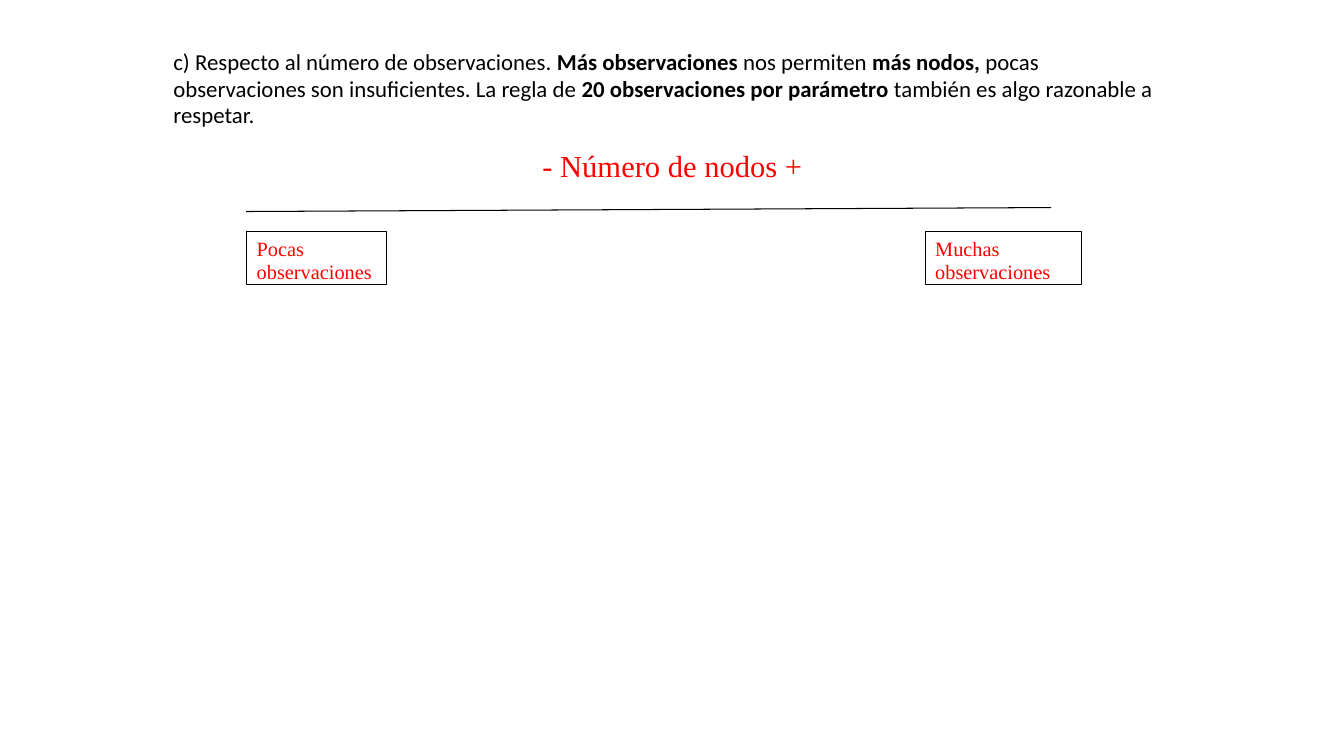
from lxml import etree
from pptx import Presentation
from pptx.dml.color import RGBColor
from pptx.enum.shapes import MSO_CONNECTOR, MSO_SHAPE
from pptx.enum.text import MSO_ANCHOR, MSO_AUTO_SIZE, PP_ALIGN
from pptx.oxml.ns import qn
from pptx.util import Cm, Pt

BLACK = RGBColor(0, 0, 0)
RED = RGBColor(255, 0, 0)
RECTANGLE = MSO_SHAPE.RECTANGLE
STRAIGHT = MSO_CONNECTOR.STRAIGHT
TOP = MSO_ANCHOR.TOP
MIDDLE = MSO_ANCHOR.MIDDLE
LEFT = PP_ALIGN.LEFT
GROW = MSO_AUTO_SIZE.SHAPE_TO_FIT_TEXT


class NodesSlide:
    """Draw the elements of the slide about nodes and observations."""

    body_font = "Calibri"
    label_font = "Times New Roman"
    line_width = Pt(0.75)

    def __init__(self, presentation):
        self.slide = presentation.slides.add_slide(presentation.slide_layouts[6])

    def fill_text(self, shape, parts, font, size, color, insets=(0, 0),
                  anchor=TOP, line_spacing=None):
        frame = shape.text_frame
        frame.word_wrap = True
        frame.auto_size = GROW
        frame.vertical_anchor = anchor
        frame.margin_left, frame.margin_top = (Cm(inset) for inset in insets)
        frame.margin_right = frame.margin_bottom = 0
        paragraph = frame.paragraphs[0]
        paragraph.alignment = LEFT
        if line_spacing:
            paragraph.line_spacing = Pt(line_spacing)
        paragraph.font.name = font
        paragraph.font.size = Pt(size)
        paragraph.font.color.rgb = color
        for text, bold in parts:
            run = paragraph.add_run()
            run.text = text
            if bold:
                run.font.bold = True

    def text_box(self, left, top, width, height):
        return self.slide.shapes.add_textbox(Cm(left), Cm(top), Cm(width), Cm(height))

    def explanation(self, parts):
        box = self.text_box(4.34, 0.79, 25.2, 2.13)
        self.fill_text(box, parts, self.body_font, 16.3, BLACK, (0.03, 0.76), MIDDLE, 18.7)

    def heading(self, text):
        box = self.text_box(13.64, 3.68, 6.6, 0.97)
        self.fill_text(box, [(text, False)], self.label_font, 21.8, RED, (0.03, 0.03))

    def axis(self, start_x, start_y, end_x, end_y):
        line = self.slide.shapes.add_connector(
            STRAIGHT, Cm(start_x), Cm(start_y), Cm(end_x), Cm(end_y))
        line.line.color.rgb = BLACK
        line.line.width = self.line_width
        etree.SubElement(line._element.spPr, qn("a:effectLst"))

    def label(self, text, left, width):
        shape = self.slide.shapes.add_shape(
            RECTANGLE, Cm(left), Cm(5.84), Cm(width), Cm(1.32))
        shape.shadow.inherit = False
        shape.fill.background()
        shape.line.color.rgb = BLACK
        shape.line.width = self.line_width
        self.fill_text(shape, [(text, False)], self.label_font, 14.5, RED,
                       (0.25, 0.13), line_spacing=16.8)


def main():
    presentation = Presentation()
    presentation.slide_width = Cm(33.87)
    presentation.slide_height = Cm(19.05)
    page = NodesSlide(presentation)
    page.explanation([
        ("c) Respecto al número de observaciones. ", False),
        ("Más observaciones ", True),
        ("nos permiten ", False),
        ("más nodos, ", True),
        ("pocas observaciones son insuficientes. La regla de ", False),
        ("20 observaciones por parámetro ", True),
        ("también es algo razonable a respetar.", False),
    ])
    page.heading("- Número de nodos +")
    page.axis(6.2, 5.33, 26.49, 5.23)
    page.label("Muchas observaciones", 23.32, 3.94)
    page.label("Pocas observaciones", 6.22, 3.51)
    presentation.save("out.pptx")


if __name__ == "__main__":
    main()
